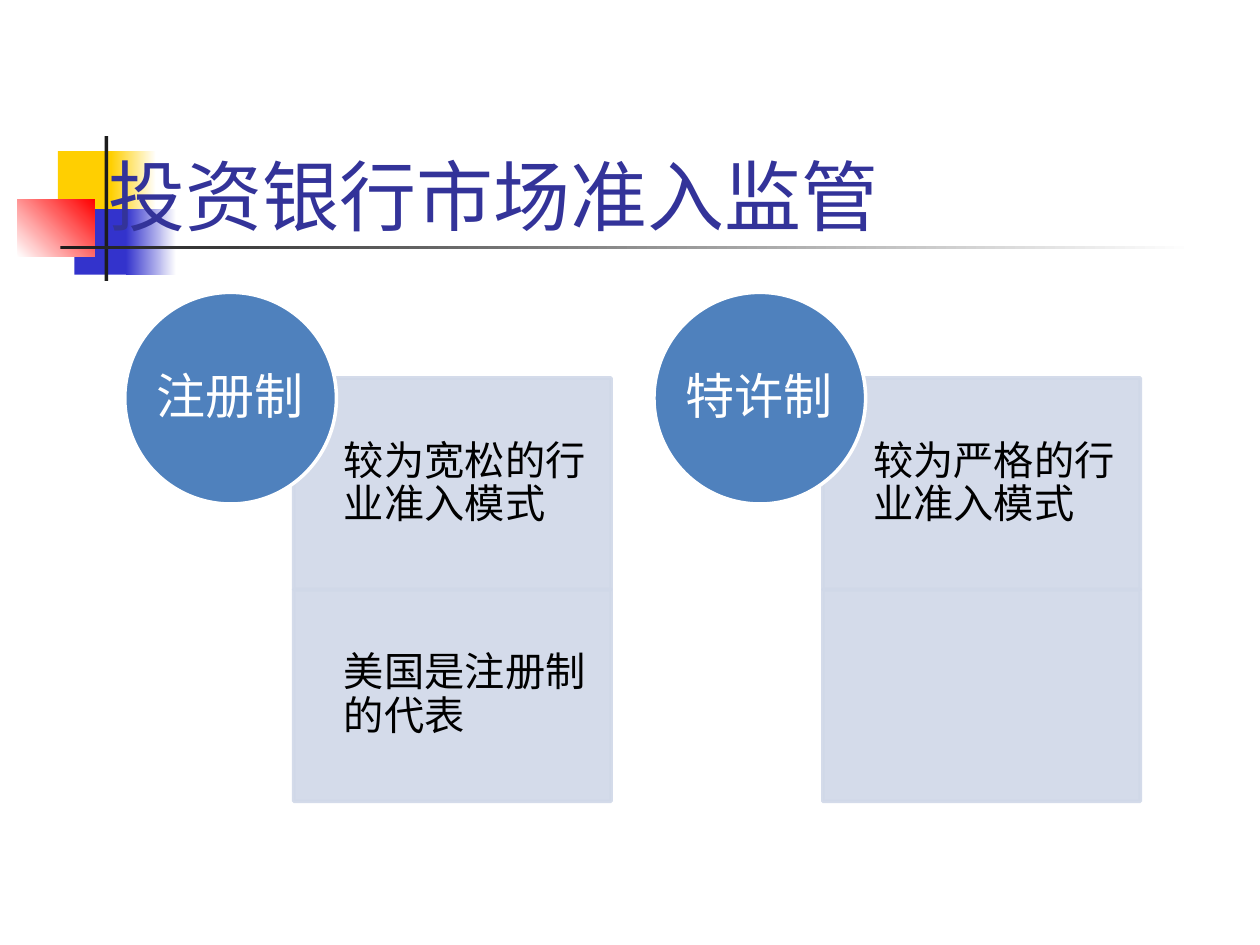
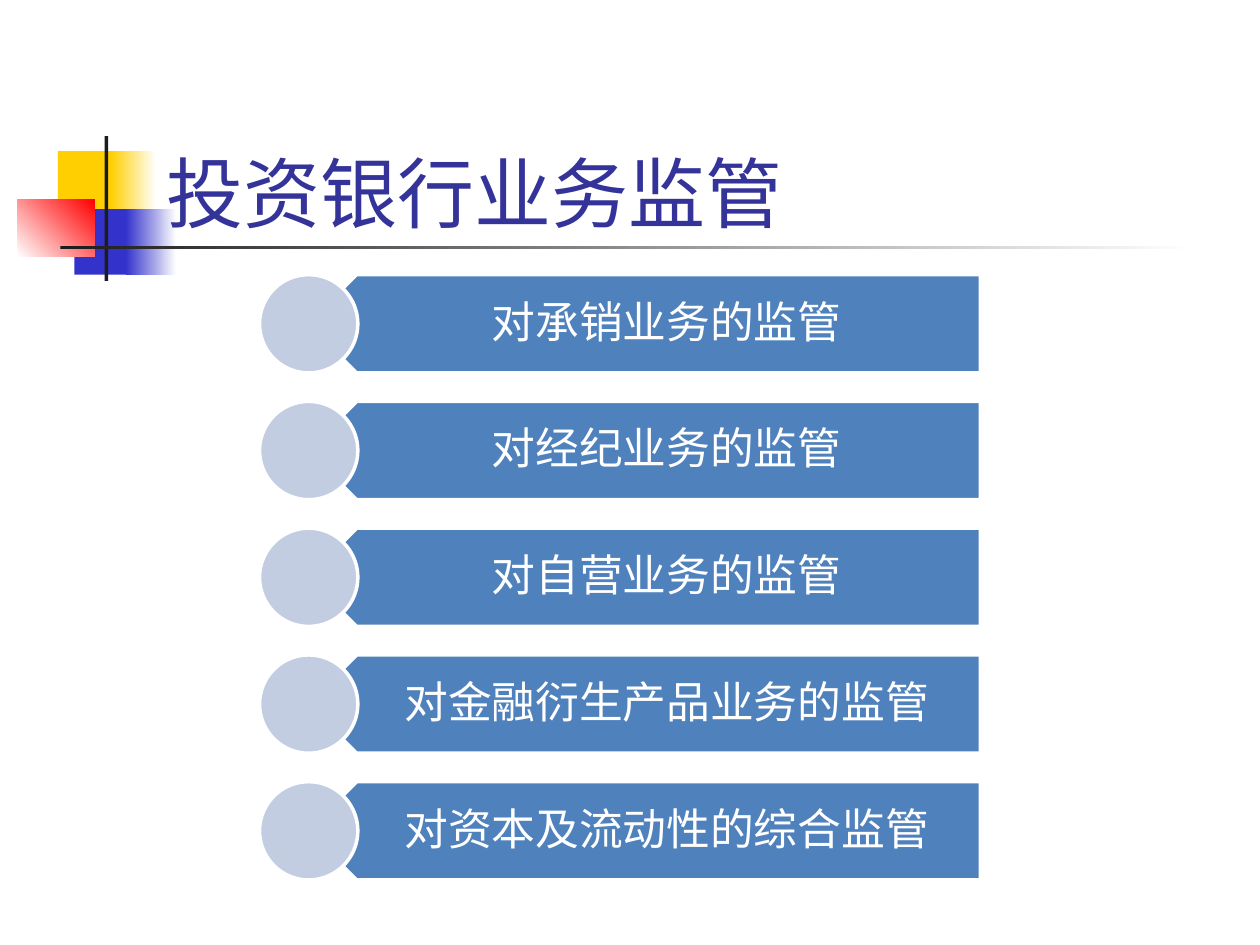
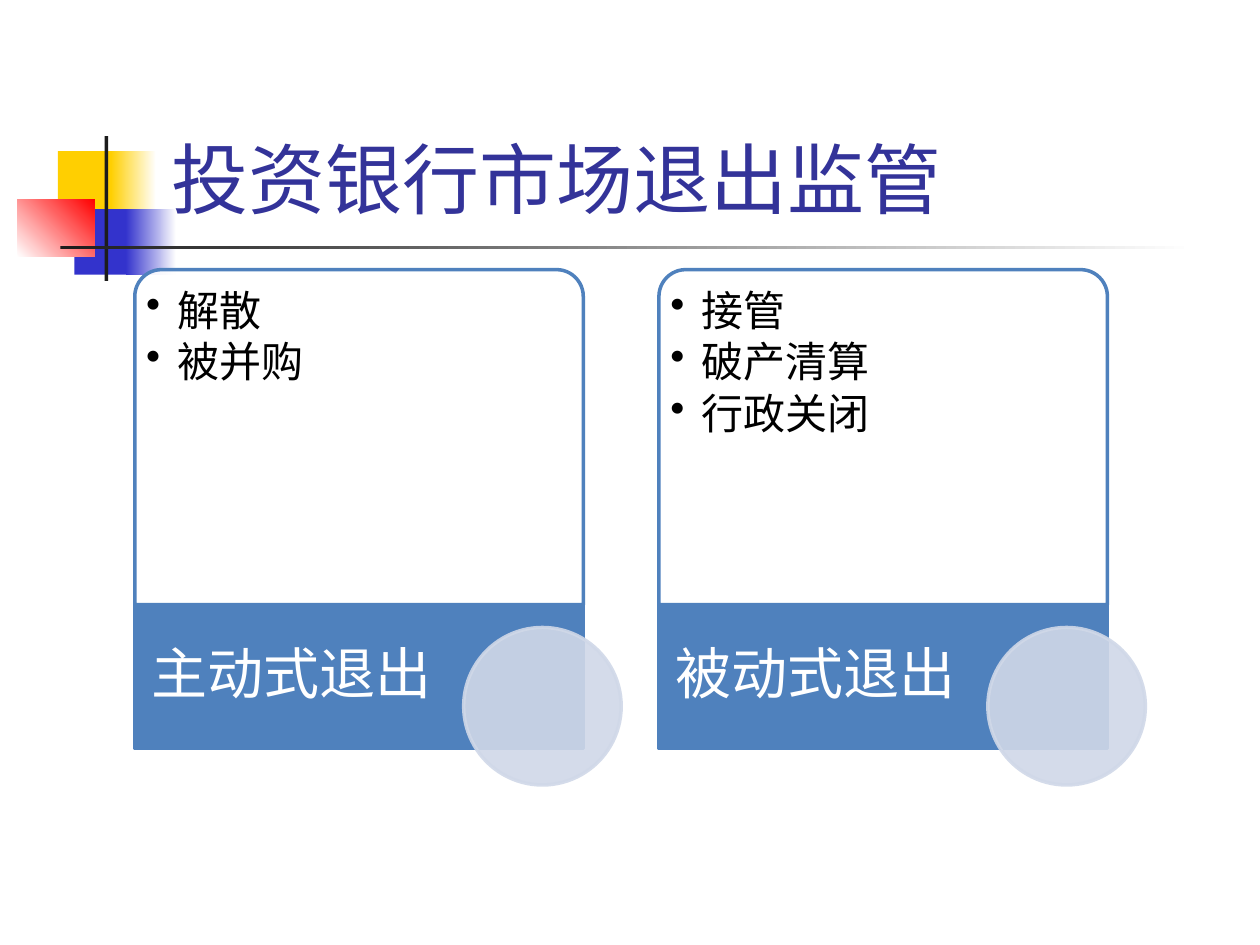
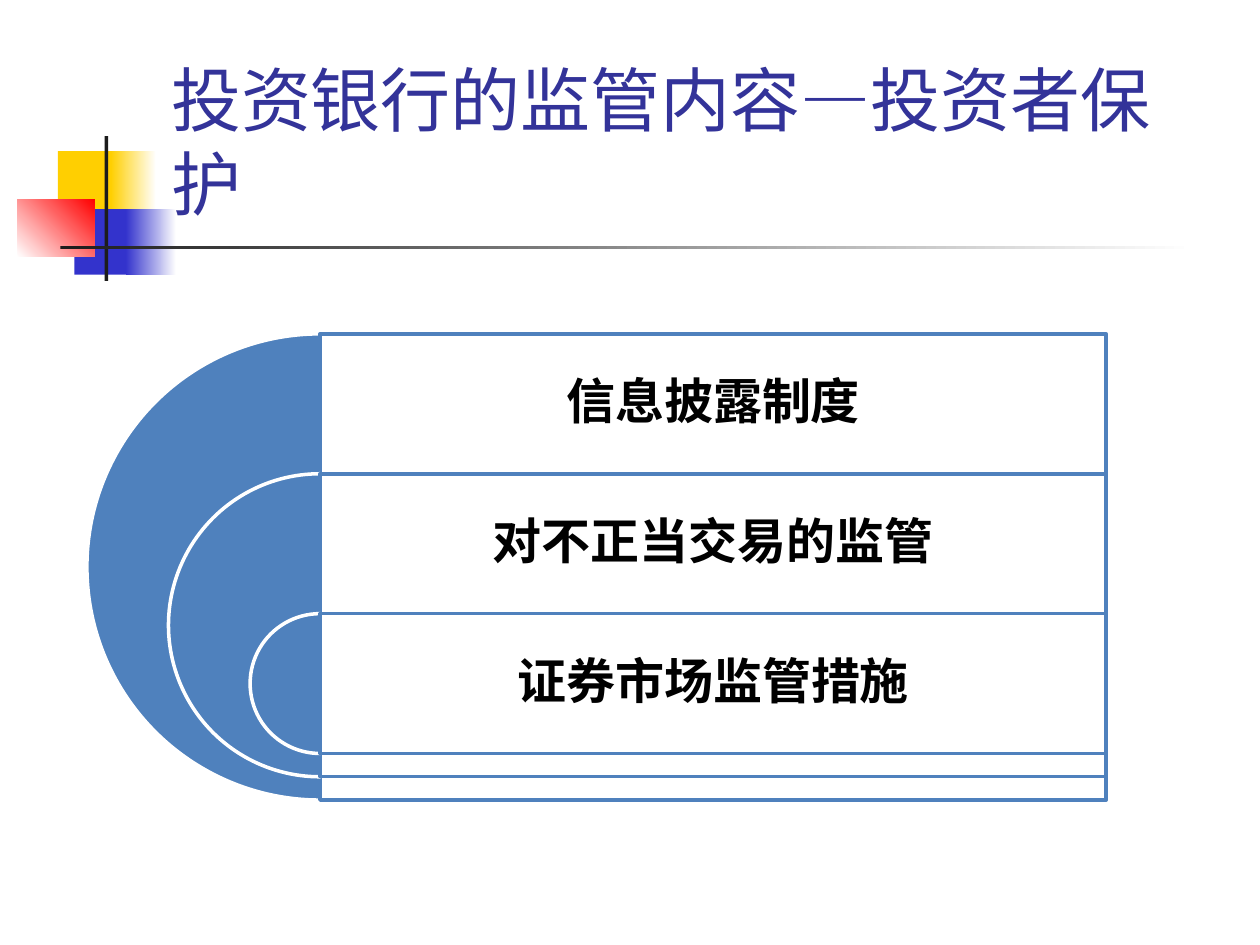
"""Build four slides on the regulation of investment banks."""

from lxml.etree import SubElement
from pptx import Presentation
from pptx.dml.color import RGBColor
from pptx.enum.shapes import MSO_SHAPE
from pptx.enum.text import MSO_ANCHOR, PP_ALIGN
from pptx.oxml.ns import qn
from pptx.util import Inches, Pt

BLUE, PALE, CIRCLE = "4F81BD", "D0D8E8", "C2CDE1"
WHITE, BLACK, TITLE = "FFFFFF", "000000", "333399"
YELLOW, INDIGO, RED, DARK = "FFCF01", "3333CC", "FF0000", "1C1C1C"
BODY_FONT, TITLE_FONT = "Times New Roman", "Roboto"

DECORATION = [
    (0.46, 1.2, 0.48, 0.52, YELLOW, YELLOW, 0),
    (0.88, 1.2, 0.36, 0.52, YELLOW, WHITE, 0),
    (0.59, 1.66, 0.46, 0.52, INDIGO, INDIGO, 0),
    (1, 1.66, 0.4, 0.52, INDIGO, WHITE, 0),
    (0.14, 1.58, 0.61, 0.46, WHITE, RED, 45),
    (0.83, 1.08, 0.03, 1.15, DARK, DARK, 0),
    (0.48, 1.95, 9, 0.03, DARK, WHITE, 0),
]
TITLES = [
    ("投资银行市场准入监管", 0.76, 0.36, 44),
    ("投资银行业务监管", 1.22, 0.34, 44),
    ("投资银行市场退出监管", 1.26, 0.23, 44),
    ("投资银行的监管内容—投资者保护", 1.26, 0.23, 40),
]


def add_figure(slide, kind, left, top, width, height, fill, line=None, opacity=100):
    """Add a preset shape with a plain fill and an optional 2 pt line."""
    shape = slide.shapes.add_shape(kind, Inches(left), Inches(top), Inches(width), Inches(height))
    shape.shadow.inherit = False
    shape.fill.solid()
    shape.fill.fore_color.rgb = RGBColor.from_string(fill)
    if line:
        shape.line.color.rgb = RGBColor.from_string(line)
        shape.line.width = Pt(2)
    else:
        shape.line.fill.background()
    if opacity < 100:
        for color in shape.element.spPr.iter(qn("a:srgbClr")):
            if color.get("val") == fill:
                SubElement(color, qn("a:alpha"), val=str(opacity * 1000))
    return shape


def add_text(slide, text, left, top, width, height, size, color, insets=(0, 0, 0, 0),
             align=PP_ALIGN.LEFT, anchor=MSO_ANCHOR.MIDDLE, font=BODY_FONT,
             spacing=0.9, bold=False, bullet=None):
    """Add a wrapped text box with one paragraph per line of text."""
    box = slide.shapes.add_textbox(Inches(left), Inches(top), Inches(width), Inches(height))
    frame = box.text_frame
    frame.word_wrap = True
    frame.vertical_anchor = anchor
    frame.margin_left, frame.margin_top, frame.margin_right, frame.margin_bottom = map(Inches, insets)
    frame.text = text
    for paragraph in frame.paragraphs:
        if bullet:
            properties = paragraph._p.get_or_add_pPr()
            properties.set("marL", str(Inches(0.25)))
            properties.set("indent", str(-Inches(0.25)))
            SubElement(properties, qn("a:buChar"), char=bullet)
            paragraph.space_after = Pt(size * 0.15)
        paragraph.alignment = align
        paragraph.line_spacing = spacing
        paragraph.font.name = font
        paragraph.font.size = Pt(size)
        paragraph.font.bold = bold
        paragraph.font.color.rgb = RGBColor.from_string(color)


presentation = Presentation()
presentation.slide_width, presentation.slide_height = Inches(10), Inches(7.5)

slides = []
for title, title_left, title_top, title_size in TITLES:
    slide = presentation.slides.add_slide(presentation.slide_layouts[6])
    for left, top, width, height, start, end, angle in DECORATION:
        shape = add_figure(slide, MSO_SHAPE.RECTANGLE, left, top, width, height, start)
        if start != end:
            shape.fill.gradient()
            shape.fill.gradient_angle = angle
            for stop, color in zip(shape.fill.gradient_stops, (start, end)):
                stop.color.rgb = RGBColor.from_string(color)
                stop.position = 0 if color == start else 1
    add_text(slide, title, title_left, title_top, 8.52, 1.6, title_size, TITLE,
             (0.1, 0.05, 0.1, 0.05), anchor=MSO_ANCHOR.BOTTOM, font=TITLE_FONT, spacing=1.0)
    slides.append(slide)
entry_slide, business_slide, exit_slide, protection_slide = slides

entry_systems = [
    ("注册制", ["较为宽松的行业准入模式", "美国是注册制的代表"]),
    ("特许制", ["较为严格的行业准入模式", ""]),
]
cell = 1.68
for column, (system, features) in enumerate(entry_systems):
    left = 0.99 + 4.2 * column
    for row, feature in enumerate(features):
        top = 3 + cell * row
        add_figure(entry_slide, MSO_SHAPE.RECTANGLE, left + 1.34, top, 2.52, cell, PALE, PALE, 90)
        if feature:
            add_text(entry_slide, feature, left + 1.74, top, 2.12, cell, 23, BLACK,
                     (0, 0.18, 0.18, 0.18))
    add_figure(entry_slide, MSO_SHAPE.OVAL, left, 2.32, cell, cell, BLUE, WHITE)
    add_text(entry_slide, system, left + 0.24, 2.57, 1.19, 1.19, 28, WHITE, align=PP_ALIGN.CENTER)

businesses = ["对承销业务的监管", "对经纪业务的监管", "对自营业务的监管",
              "对金融衍生产品业务的监管", "对资本及流动性的综合监管"]
bar_height = 0.78
for row, business in enumerate(businesses):
    top = 2.18 + 1.006 * row
    bar = add_figure(business_slide, MSO_SHAPE.PENTAGON, 2.44, top, 5.34, bar_height, BLUE, WHITE)
    bar.rotation = 180
    add_text(business_slide, business, 2.64, top, 5.15, bar_height, 25, WHITE,
             (0.34, 0.1, 0.19, 0.1), PP_ALIGN.CENTER)
    add_figure(business_slide, MSO_SHAPE.OVAL, 2.06, top, bar_height, bar_height, CIRCLE, WHITE)

exits = [("主动式退出", "解散\n被并购"), ("被动式退出", "接管\n破产清算\n行政关闭")]
for column, (exit_kind, ways) in enumerate(exits):
    left = 1.07 + 4.16 * column
    card = add_figure(exit_slide, MSO_SHAPE.ROUND_2_SAME_RECTANGLE, left, 2.14, 3.56, 2.66,
                      WHITE, BLUE, 90)
    card.adjustments[0] = 0.08
    add_text(exit_slide, ways, left + 0.06, 2.2, 3.44, 2.6, 24, BLACK,
             (0.03, 0.1, 0.03, 0.03), anchor=MSO_ANCHOR.TOP, bullet="•")
    add_figure(exit_slide, MSO_SHAPE.RECTANGLE, left, 4.8, 3.56, 1.14, BLUE, BLUE)
    add_text(exit_slide, exit_kind, left, 4.8, 2.51, 1.14, 32, WHITE, (0.13, 0, 0.04, 0))
    add_figure(exit_slide, MSO_SHAPE.OVAL, left + 2.61, 4.98, 1.25, 1.25, PALE, PALE, 90)

measures = ["信息披露制度", "对不正当交易的监管", "证券市场监管措施"]
row_height, panel_left, panel_width = 1.11, 2.54, 6.24
for row, measure in enumerate(measures):
    top = 2.65 + row_height * row
    size = 3.7 - 1.295 * row
    pie = add_figure(protection_slide, MSO_SHAPE.PIE, panel_left - size / 2, top, size, size, BLUE, WHITE)
    pie.adjustments[0], pie.adjustments[1] = 54, 162
    add_figure(protection_slide, MSO_SHAPE.RECTANGLE, panel_left, top, panel_width, size, WHITE, BLUE, 90)
    add_text(protection_slide, measure, panel_left, top, panel_width, row_height, 28, BLACK,
             (0.12, 0.12, 0.12, 0.12), PP_ALIGN.CENTER, bold=True)

presentation.save("out.pptx")
